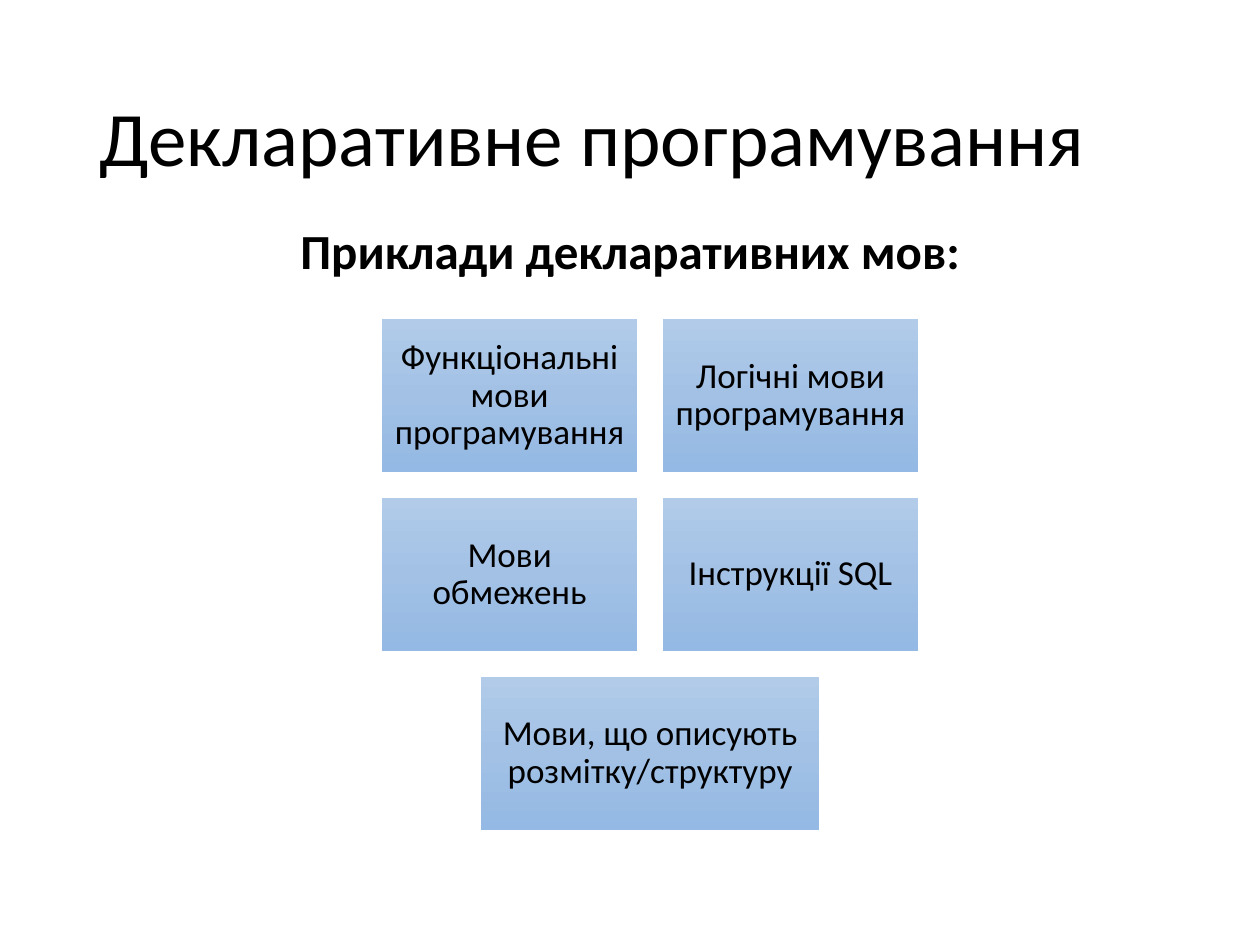
from copy import deepcopy

from pptx import Presentation
from pptx.dml.color import RGBColor
from pptx.enum.shapes import MSO_SHAPE as Shape
from pptx.enum.text import MSO_ANCHOR as Anchor, MSO_AUTO_SIZE as AutoSize, PP_ALIGN as Align
from pptx.util import Pt

FONT = "Calibri"
TEXT_COLOUR = "000000"
GRADIENT = ((0, "B1CBE9"), (0.5, "A3C1E5"), (1, "93B9E4"))
COLUMNS = 2
GAP = 14.4
LANGUAGES = (
    "Функціональні мови програмування",
    "Логічні мови програмування",
    "Мови обмежень",
    "Інструкції SQL",
)
MARKUP_LANGUAGES = "Мови, що описують розмітку/структуру"


def colour(value):
    """Turn a hex string into a colour."""
    return RGBColor.from_string(value)


def write(shape, text, size, align, anchor, bold=False):
    """Write one formatted paragraph into a shape and return it."""
    frame = shape.text_frame
    frame.text = text
    frame.word_wrap = True
    frame.auto_size = AutoSize.NONE
    frame.vertical_anchor = anchor
    paragraph = frame.paragraphs[0]
    paragraph.alignment = align
    paragraph.line_spacing = 0.9
    font = paragraph.runs[0].font
    font.name, font.size, font.bold = FONT, Pt(size), bold
    font.color.rgb = colour(TEXT_COLOUR)
    return paragraph


def fill_gradient(shape):
    """Fill a shape with the three-stop gradient from top to bottom."""
    fill = shape.fill
    fill.gradient()
    fill.gradient_angle = 270
    first_stop = shape.element.spPr.find(".//{*}gs")
    first_stop.addnext(deepcopy(first_stop))
    for stop, (position, value) in zip(fill.gradient_stops, GRADIENT):
        stop.position = position
        stop.color.rgb = colour(value)


def add_title(slide, left, top, width, height):
    """Place the slide title."""
    title = slide.shapes.title
    title.left, title.top, title.width, title.height = map(Pt, (left, top, width, height))
    write(title, "Декларативне програмування", 44, Align.LEFT, Anchor.MIDDLE)


def add_subtitle(slide, left, top, width, height):
    """Place the bold line above the boxes."""
    subtitle = slide.shapes.add_textbox(*map(Pt, (left, top, width, height)))
    paragraph = write(subtitle, "Приклади декларативних мов:", 28, Align.CENTER, Anchor.TOP, True)
    paragraph.space_before = Pt(10)


def add_language_box(slide, text, left, top, width, height):
    """Place one gradient box with its label."""
    box = slide.shapes.add_shape(Shape.RECTANGLE, *map(Pt, (left, top, width, height)))
    box.shadow.inherit = False
    box.line.fill.background()
    fill_gradient(box)
    frame = box.text_frame
    frame.margin_left = frame.margin_right = frame.margin_top = frame.margin_bottom = Pt(6)
    write(box, text, 20, Align.CENTER, Anchor.MIDDLE)


def add_language_grid(slide, left, top, width, height):
    """Place the rows of language boxes with a wider one centred below."""
    rows = len(LANGUAGES) // COLUMNS + 1
    box_width = (width - GAP * (COLUMNS - 1)) / COLUMNS
    box_height = (height - GAP * (rows - 1)) / rows
    for index, text in enumerate(LANGUAGES):
        row, column = divmod(index, COLUMNS)
        x = left + column * (box_width + GAP)
        y = top + row * (box_height + GAP)
        add_language_box(slide, text, x, y, box_width, box_height)
    wide = 193
    add_language_box(slide, MARKUP_LANGUAGES, left + (width - wide) / 2,
                     top + height - box_height, wide, box_height)


def main():
    """Build the slide and save it."""
    presentation = Presentation()
    presentation.slide_width, presentation.slide_height = Pt(720), Pt(540)
    slide = presentation.slides.add_slide(presentation.slide_layouts[5])
    add_title(slide, 49.5, 28.8, 621, 104.4)
    add_subtitle(slide, 36, 126, 648, 42)
    add_language_grid(slide, 218.2, 182.2, 306.6, 292.2)
    presentation.save("out.pptx")


if __name__ == "__main__":
    main()
